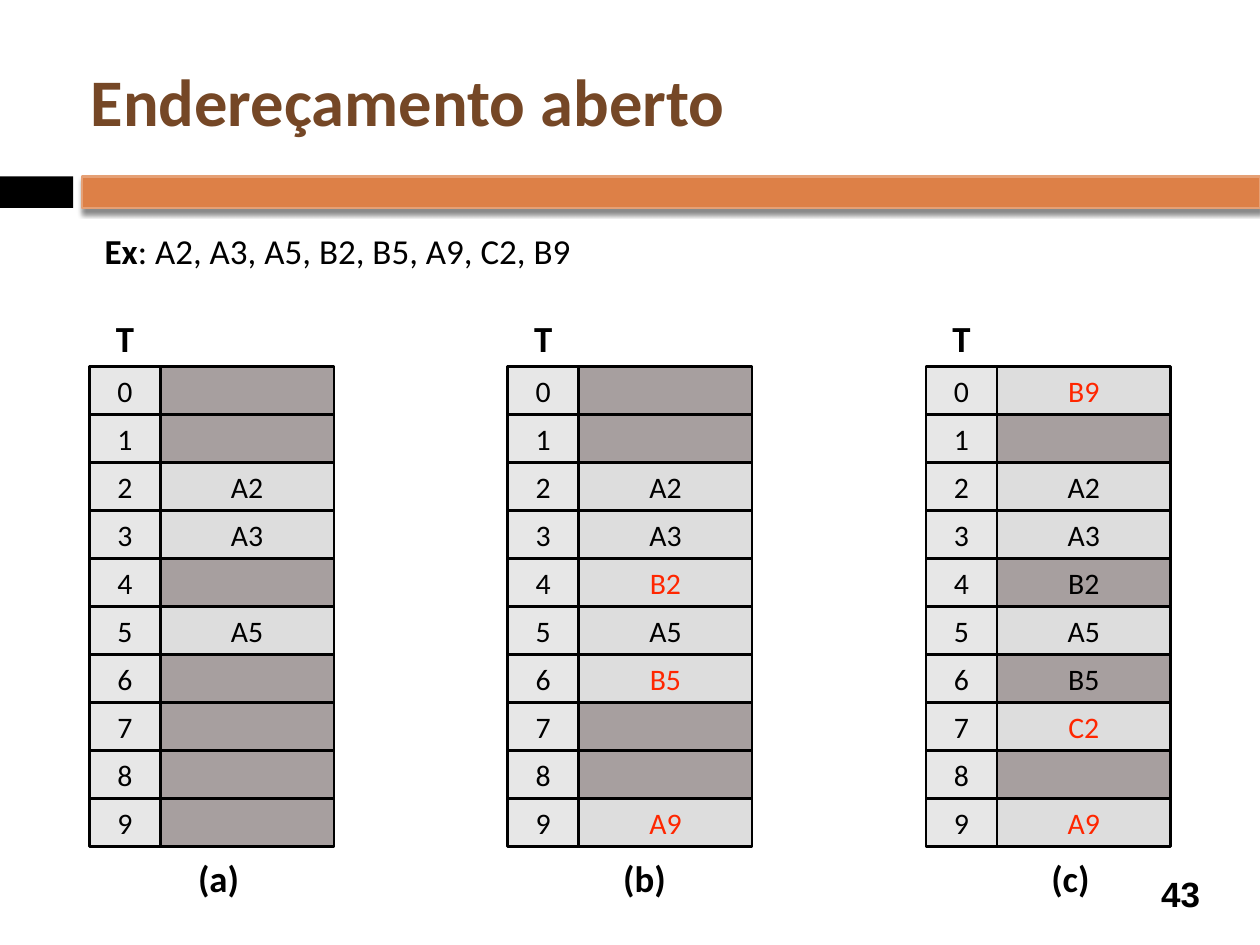
from dataclasses import dataclass

from lxml.etree import SubElement
from pptx import Presentation
from pptx.dml.color import RGBColor
from pptx.enum.shapes import MSO_SHAPE
from pptx.enum.text import MSO_ANCHOR, PP_ALIGN
from pptx.oxml.ns import qn
from pptx.util import Inches, Pt

# The slide is a grid of 100 columns by 75 rows
COLUMNS, ROWS = 100, 75
CELL = Inches(0.1)
SLOTS = 10


@dataclass(frozen=True)
class Theme:
    font: str = "Calibri"
    number_font: str = "Arial"
    ink: str = "000000"
    title: str = "754726"
    bar: str = "DD8047"
    bar_line: str = "E5A075"
    index: str = "E7E7E7"
    filled: str = "DDDDDD"
    empty: str = "A79F9F"
    accent: str = "FF2600"
    title_size: float = 38
    label_size: float = 21
    body_size: float = 20
    cell_size: float = 17
    line_width: float = 1.5
    inset: float = 0.5


@dataclass(frozen=True)
class Box:
    left: float
    top: float
    width: float
    height: float

    def area(self, left, top, width, height):
        """Return the box at the given shares of this one."""
        return Box(self.left + left * self.width, self.top + top * self.height,
                   width * self.width, height * self.height)

    def lengths(self):
        return [round(value * CELL)
                for value in (self.left, self.top, self.width, self.height)]


@dataclass(frozen=True)
class Stage:
    caption: str
    keys: dict
    accented: tuple = ()
    shaded: tuple = ()


THEME = Theme()
STAGES = [
    Stage("(a)", {2: "A2", 3: "A3", 5: "A5"}),
    Stage("(b)", {2: "A2", 3: "A3", 4: "B2", 5: "A5", 6: "B5", 9: "A9"},
          accented=("B2", "B5", "A9")),
    Stage("(c)", {0: "B9", 2: "A2", 3: "A3", 4: "B2", 5: "A5", 6: "B5", 7: "C2", 9: "A9"},
          accented=("B9", "C2", "A9"), shaded=("B2", "B5")),
]


def write_text(shape, *runs, size=THEME.cell_size, color=THEME.ink, font=THEME.font,
               align=PP_ALIGN.CENTER, anchor=MSO_ANCHOR.MIDDLE, wrap=True):
    """Fill a shape with one paragraph of (text, bold) runs."""
    frame = shape.text_frame
    frame.word_wrap = wrap
    frame.vertical_anchor = anchor
    frame.margin_left = frame.margin_right = round(THEME.inset * CELL)
    frame.margin_top = frame.margin_bottom = round(THEME.inset * CELL)
    paragraph = frame.paragraphs[0]
    paragraph.alignment = align
    for text, bold in runs:
        run = paragraph.add_run()
        run.text = text
        run.font.name = font
        run.font.size = Pt(size)
        run.font.bold = bold
        run.font.color.rgb = RGBColor.from_string(color)


def add_text(slide, box, *runs, **text_format):
    write_text(slide.shapes.add_textbox(*box.lengths()), *runs, **text_format)


def add_rectangle(slide, box, fill, line=None):
    shape = slide.shapes.add_shape(MSO_SHAPE.RECTANGLE, *box.lengths())
    shape.shadow.inherit = False
    shape.fill.solid()
    shape.fill.fore_color.rgb = RGBColor.from_string(fill)
    if line:
        shape.line.color.rgb = RGBColor.from_string(line)
        shape.line.width = Pt(THEME.line_width)
    else:
        shape.line.fill.background()
    return shape


def add_drop_shadow(shape):
    effects = shape.element.spPr.find(qn("a:effectLst"))
    shadow = SubElement(effects, qn("a:outerShdw"), blurRad=str(Pt(3)),
                        dist=str(Pt(2.4)), dir="5400000", rotWithShape="0")
    color = SubElement(shadow, qn("a:srgbClr"), val=THEME.ink)
    SubElement(color, qn("a:alpha"), val="45000")


def add_band(slide, box):
    """Black tab and orange bar across the slide."""
    add_rectangle(slide, box.area(0, 0, 0.058, 1), THEME.ink)
    bar = add_rectangle(slide, box.area(0.065, 0, 0.935, 1), THEME.bar, THEME.bar_line)
    add_drop_shadow(bar)


def add_hash_table(slide, box, stage):
    """Heading, then one value cell and one index cell per slot."""
    row = 1 / SLOTS
    index_share = 0.29
    add_text(slide, box.area(0, -0.12, index_share, 0.11), ("T", True),
             size=THEME.label_size, anchor=MSO_ANCHOR.TOP)
    for slot in range(SLOTS):
        key = stage.keys.get(slot)
        is_empty = key is None or key in stage.shaded
        value = add_rectangle(slide, box.area(index_share, slot * row, 1 - index_share, row),
                              THEME.empty if is_empty else THEME.filled, THEME.ink)
        if key:
            write_text(value, (key, False),
                       color=THEME.accent if key in stage.accented else THEME.ink)
        index = add_rectangle(slide, box.area(0, slot * row, index_share, row),
                              THEME.index, THEME.ink)
        write_text(index, (str(slot), False))


def build_slide(presentation):
    slide = presentation.slides.add_slide(presentation.slide_layouts[6])

    # Header
    add_band(slide, Box(0, 14, COLUMNS, 2.5))
    add_text(slide, Box(6.7, 2.5, 89.2, 10.8), ("Endereçamento aberto", True),
             size=THEME.title_size, color=THEME.title, align=PP_ALIGN.LEFT)

    # Keys to insert
    add_text(slide, Box(7.8, 17.7, 39.8, 4.1),
             ("Ex", True), (": A2, A3, A5, B2, B5, A9, C2, B9", False),
             size=THEME.body_size, align=PP_ALIGN.LEFT, anchor=MSO_ANCHOR.TOP, wrap=False)

    # Hash table and caption of each stage
    for position, stage in enumerate(STAGES):
        add_hash_table(slide, Box(7.1 + 33.2 * position, 29.1, 19.4, 38.1), stage)
        add_text(slide, Box(15.1 + 33.8 * position, 67.4, 4.5, 4.2), (stage.caption, True),
                 size=THEME.label_size, anchor=MSO_ANCHOR.TOP, wrap=False)

    # Slide number
    add_text(slide, Box(90.8, 68.9, 5.8, 4.1), ("43", True),
             size=THEME.body_size, font=THEME.number_font)


def main():
    presentation = Presentation()
    presentation.slide_width = COLUMNS * CELL
    presentation.slide_height = ROWS * CELL
    build_slide(presentation)
    presentation.save("out.pptx")


if __name__ == "__main__":
    main()
